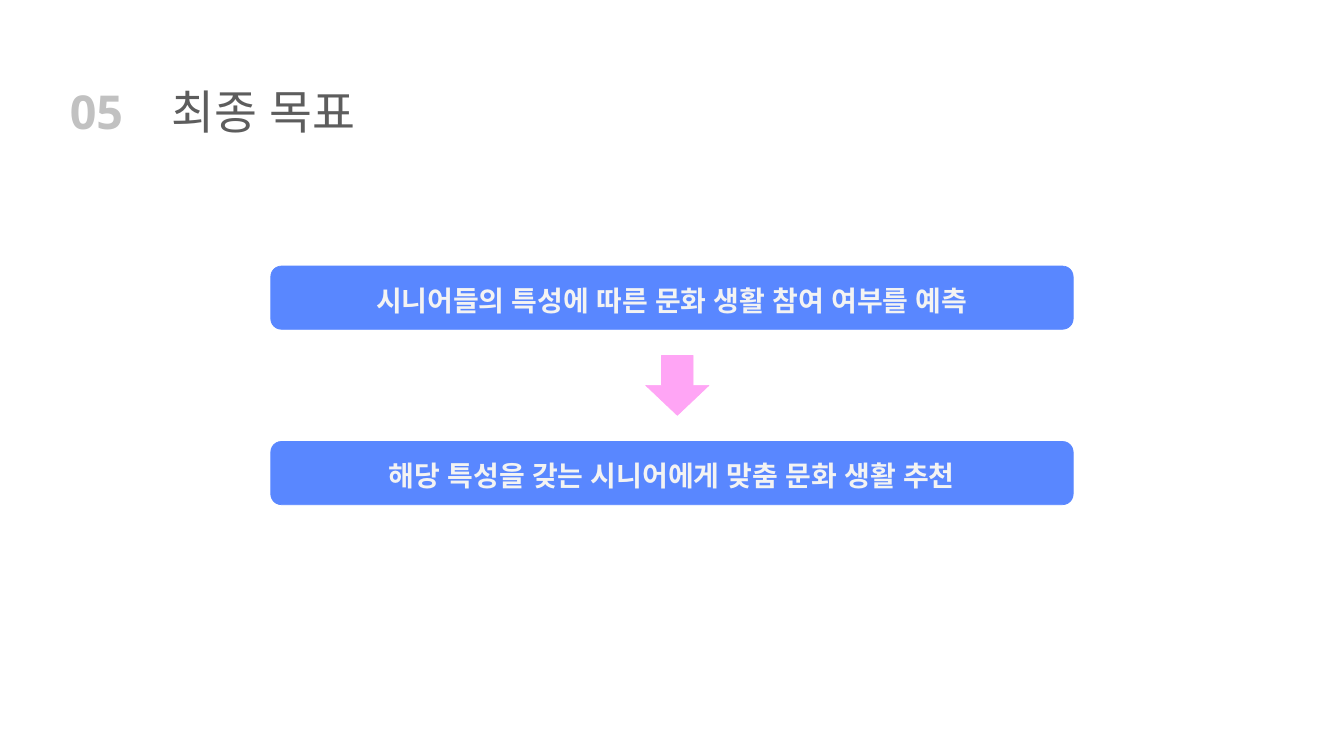
import pptx
import pptx.dml.color
import pptx.enum.shapes
import pptx.enum.text
import pptx.oxml.ns
import pptx.util
from pptx.util import Inches
from lxml import etree

RGBColor = pptx.dml.color.RGBColor
WHITE = RGBColor(0xFF, 0xFF, 0xFF)
TITLE_GRAY = RGBColor(0x5D, 0x5D, 0x5D)
NUMBER_GRAY = RGBColor(0xC1, 0xC1, 0xC1)
GOAL_BLUE = RGBColor(0x59, 0x87, 0xFF)
GOAL_TEXT = RGBColor(0xF3, 0xF3, 0xF3)
ARROW_PINK = RGBColor(0xFF, 0xA5, 0xF5)
FONT = "Noto Sans"


def add_run(paragraph, text, size, color, bold):
    run = paragraph.add_run()
    run.text = text
    run.font.size = pptx.util.Pt(size)
    run.font.name = FONT
    run.font.bold = bold
    run.font.color.rgb = color
    # Hangul takes the East Asian typeface
    hangul = etree.SubElement(run.font._element, pptx.oxml.ns.qn("a:ea"))
    hangul.set("typeface", FONT)


def add_filled_shape(kind, left, top, width, height, color):
    shape = slide.shapes.add_shape(
        kind, Inches(left), Inches(top), Inches(width), Inches(height))
    shape.shadow.inherit = False
    shape.fill.solid()
    shape.fill.fore_color.rgb = color
    shape.line.color.rgb = color
    shape.line.width = pptx.util.Pt(0.75)
    return shape


presentation = pptx.Presentation()
presentation.slide_width = Inches(20)
presentation.slide_height = Inches(11.25)
slide = presentation.slides.add_slide(presentation.slide_layouts[6])
slide.background.fill.solid()
slide.background.fill.fore_color.rgb = WHITE

# Section title and number
for text, left, width, color, bold in (
    ("최종 목표", 2.45, 8.73, TITLE_GRAY, False),
    ("05", 0.94, 1.84, NUMBER_GRAY, True),
):
    heading = slide.shapes.add_textbox(
        Inches(left), Inches(1.18), Inches(width), Inches(0.94)).text_frame
    heading.word_wrap = True
    heading.auto_size = pptx.enum.text.MSO_AUTO_SIZE.SHAPE_TO_FIT_TEXT
    add_run(heading.paragraphs[0], text, 50, color, bold)

# Goal bars
for text, top in (
    ("시니어들의 특성에 따른 문화 생활 참여 여부를 예측", 3.96),
    ("해당 특성을 갖는 시니어에게 맞춤 문화 생활 추천", 6.57),
):
    goal = add_filled_shape(
        pptx.enum.shapes.MSO_SHAPE.ROUNDED_RECTANGLE,
        4.03, top, 11.94, 0.94, GOAL_BLUE)
    goal.adjustments[0] = 0.167
    frame = goal.text_frame
    frame.word_wrap = True
    frame.vertical_anchor = pptx.enum.text.MSO_ANCHOR.MIDDLE
    frame.margin_left = frame.margin_right = Inches(0.1)
    frame.margin_top = frame.margin_bottom = Inches(0.1)
    paragraph = frame.paragraphs[0]
    paragraph.alignment = pptx.enum.text.PP_ALIGN.CENTER
    paragraph.line_spacing = 1.15
    add_run(paragraph, text, 30, GOAL_TEXT, True)

# Arrow from the first goal to the second
add_filled_shape(
    pptx.enum.shapes.MSO_SHAPE.DOWN_ARROW, 9.61, 5.29, 0.94, 0.89, ARROW_PINK)

presentation.save("out.pptx")
